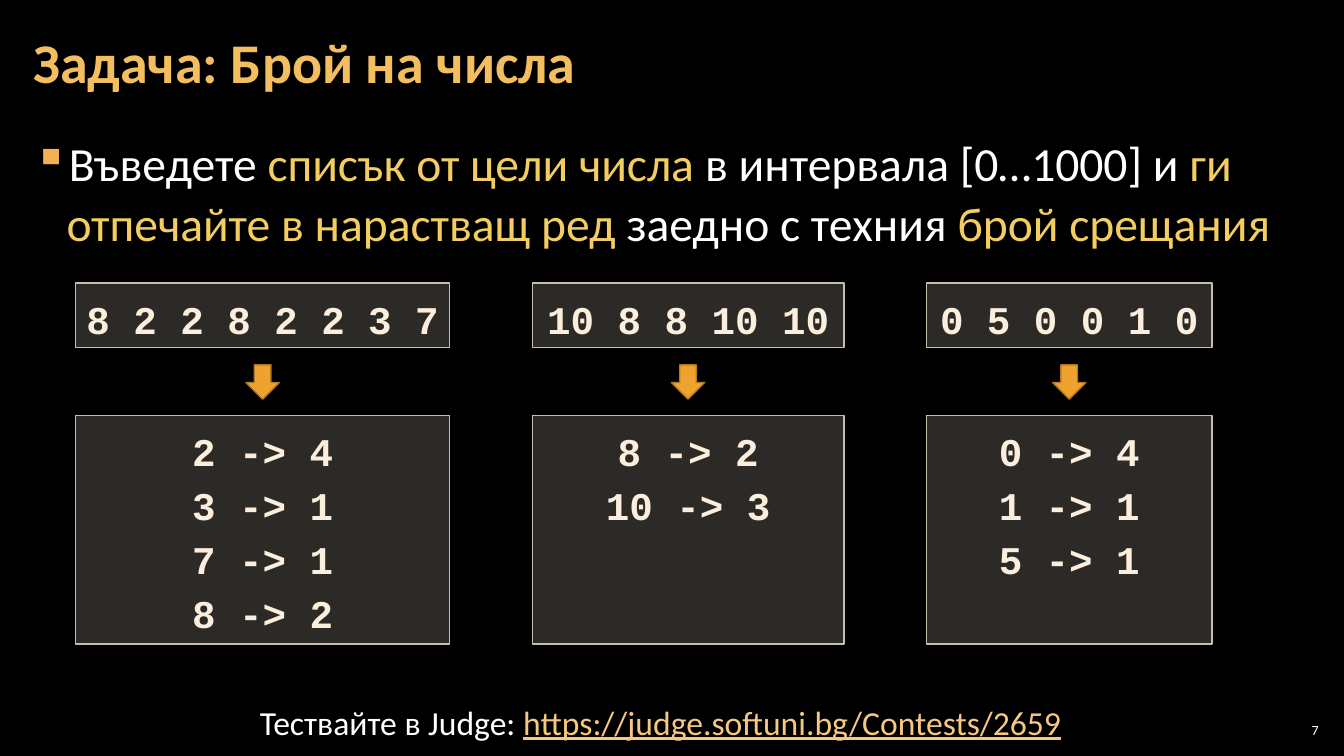
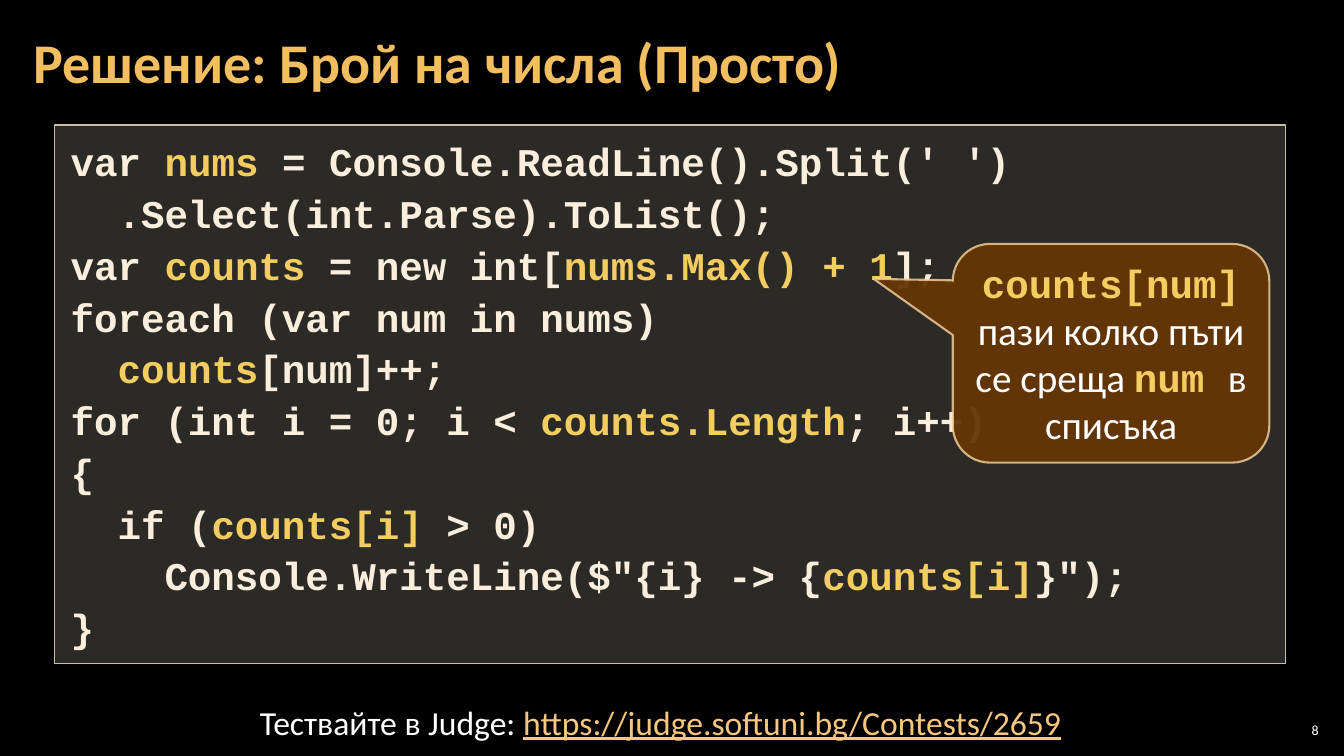
from lxml import etree
from pptx import Presentation
from pptx.dml.color import RGBColor
from pptx.enum.shapes import MSO_SHAPE
from pptx.enum.text import MSO_ANCHOR, PP_ALIGN
from pptx.oxml.ns import qn
from pptx.util import Inches, Pt

RECT = MSO_SHAPE.RECTANGLE
DOWN_ARROW = MSO_SHAPE.DOWN_ARROW
CALLOUT = MSO_SHAPE.ROUNDED_RECTANGULAR_CALLOUT
LEFT, CENTER, RIGHT = PP_ALIGN.LEFT, PP_ALIGN.CENTER, PP_ALIGN.RIGHT
TOP, MIDDLE = MSO_ANCHOR.TOP, MSO_ANCHOR.MIDDLE

BLACK = RGBColor(0x00, 0x00, 0x00)
WHITE = RGBColor(0xFF, 0xFF, 0xFF)
GOLD = RGBColor(0xF3, 0xBE, 0x60)
YELLOW = RGBColor(0xF3, 0xCD, 0x60)
CREAM = RGBColor(0xFB, 0xEE, 0xDC)
LINK = RGBColor(0xF6, 0xC7, 0x81)
PANEL = RGBColor(0xD9, 0xD5, 0xC7)
PANEL_LINE = RGBColor(0xC7, 0xBF, 0xAC)
ORANGE = RGBColor(0xF0, 0xA2, 0x2E)
ORANGE_LINE = RGBColor(0xB2, 0x78, 0x22)
BROWN = RGBColor(0x66, 0x36, 0x06)
BROWN_LINE = RGBColor(0xF8, 0xD4, 0x9E)

# Text styles: font, size, colour, bold, underline
TITLE = ("Calibri", 40, GOLD, True, False)
BODY = ("Calibri", 34, WHITE, False, False)
BODY_KEY = ("Calibri", 34, YELLOW, False, False)
CODE = ("Courier New", 28, CREAM, True, False)
CODE_KEY = ("Courier New", 28, YELLOW, True, False)
NOTE = ("Calibri", 28, WHITE, False, False)
FOOTER = ("Calibri", 24, WHITE, False, False)
FOOTER_LINK = ("Calibri", 24, LINK, False, True)
NUMBER = ("Calibri", 10, WHITE, False, False)


def add_box(slide, kind, at, fill, line, fill_alpha=100, line_alpha=100, line_width=1):
    """Add a filled, outlined shape; alphas are percentages of opacity."""
    sp = slide.shapes.add_shape(kind, *map(Inches, at))
    sp.shadow.inherit = False
    sp.fill.solid()
    sp.fill.fore_color.rgb = fill
    sp.line.color.rgb = line
    sp.line.width = Pt(line_width)
    colors = sp._element.spPr.iter(qn("a:srgbClr"))
    for color, alpha in zip(list(colors), (fill_alpha, line_alpha)):
        if alpha < 100:
            etree.SubElement(color, qn("a:alpha")).set("val", str(alpha * 1000))
    return sp


def write(sp, lines, plain, key=None, align=LEFT, spacing=1.0, inset=(0.1, 0.05), anchor=TOP):
    """Fill a shape with lines; every second part between bars takes the key style."""
    tf = sp.text_frame
    tf.word_wrap = True
    tf.vertical_anchor = anchor
    tf.margin_left = tf.margin_right = Inches(inset[0])
    tf.margin_top = tf.margin_bottom = Inches(inset[1])
    for i, line in enumerate(lines):
        p = tf.add_paragraph() if i else tf.paragraphs[0]
        p.alignment = align
        p.line_spacing = spacing
        for j, text in enumerate(line.split("|")):
            if not text:
                continue
            r = p.add_run()
            r.text = text
            font = r.font
            font.name, size, font.color.rgb, font.bold, font.underline = key if j % 2 else plain
            font.size = Pt(size)
    return tf


prs = Presentation()
prs.slide_width = Inches(13.33)
prs.slide_height = Inches(7.5)

# Shared background, title, slide number and footer
slides = []
for number, title in enumerate(["Задача: Брой на числа", "Решение: Брой на числа (Просто)"], 7):
    s = prs.slides.add_slide(prs.slide_layouts[6])
    s.background.fill.solid()
    s.background.fill.fore_color.rgb = BLACK
    sp = s.shapes.add_textbox(Inches(0.21), Inches(0.04), Inches(12.91), Inches(1.21))
    write(sp, [title], TITLE, spacing=0.9, inset=(0.12, 0.04), anchor=MIDDLE)
    sp = s.shapes.add_textbox(Inches(12.65), Inches(7.14), Inches(0.47), Inches(0.21))
    write(sp, [str(number)], NUMBER, align=RIGHT, inset=(0.04, 0.04), anchor=MIDDLE)
    sp = s.shapes.add_textbox(Inches(2.48), Inches(6.91), Inches(8.36), Inches(0.5))
    write(sp, ["Тествайте в Judge: |https://judge.softuni.bg/Contests/2659"], FOOTER, FOOTER_LINK)
    slides.append(s)
task, solution = slides

# Task: statement
sp = task.shapes.add_textbox(Inches(0.21), Inches(1.26), Inches(12.91), Inches(1.5))
statement = ("Въведете |списък от цели числа |в интервала [0…1000] и "
             "|ги отпечайте в нарастващ ред |заедно с техния |брой срещания")
tf = write(sp, [statement], BODY, BODY_KEY, spacing=1.05, inset=(0.12, 0.04))
pPr = tf.paragraphs[0]._p.get_or_add_pPr()
pPr.set("marL", str(Inches(0.33)))
pPr.set("indent", str(-Inches(0.33)))
bullet_color = etree.SubElement(pPr, qn("a:buClr"))
etree.SubElement(bullet_color, qn("a:srgbClr")).set("val", "F2B254")
etree.SubElement(pPr, qn("a:buChar")).set("char", "▪")

# Task: three examples, input above output
examples = [
    (0.75, 3.71, "8 2 2 8 2 2 3 7", ["2 -> 4", "3 -> 1", "7 -> 1", "8 -> 2"]),
    (5.28, 3.09, "10 8 8 10 10", ["8 -> 2", "10 -> 3"]),
    (9.19, 2.83, "0 5 0 0 1 0", ["0 -> 4", "1 -> 1", "5 -> 1"]),
]
ARROW_W = 0.33
for left, width, numbers, counts in examples:
    for top, height, lines in ((2.81, 0.64, [numbers]), (4.12, 2.27, counts)):
        sp = add_box(task, RECT, (left, top, width, height), PANEL, PANEL_LINE, fill_alpha=20)
        write(sp, lines, CODE, align=CENTER, spacing=1.15)
    arrow_left = left + (width - ARROW_W) / 2
    add_box(task, DOWN_ARROW, (arrow_left, 3.62, ARROW_W, 0.34), ORANGE, ORANGE_LINE)

# Solution: code panel and callout
code = [
    "var |nums| = Console.ReadLine().Split(' ')",
    "  .Select(int.Parse).ToList();",
    "var |counts| = new int[|nums.Max() + 1|];",
    "foreach (var num in nums)",
    "  |counts|[num]++;",
    "for (int i = 0; i < |counts.Length|; i++)",
    "{",
    "  if (|counts[i]| > 0)",
    '    Console.WriteLine($"{i} -> {|counts[i]|}");',
    "}",
]
sp = add_box(solution, RECT, (0.54, 1.24, 12.21, 5.34), PANEL, PANEL_LINE, fill_alpha=20)
write(sp, code, CODE, CODE_KEY, spacing=1.1, inset=(0.16, 0.08))

sp = add_box(solution, CALLOUT, (9.45, 2.42, 3.14, 2.17), BROWN, BROWN_LINE,
             fill_alpha=95, line_alpha=80, line_width=1.5)
for i, value in enumerate((-0.75, -0.34, 0.17)):
    sp.adjustments[i] = value
write(sp, ["|counts[num] |пази колко пъти се среща |num |в списъка"], NOTE, CODE_KEY,
      align=CENTER, anchor=MIDDLE)

prs.save("out.pptx")
